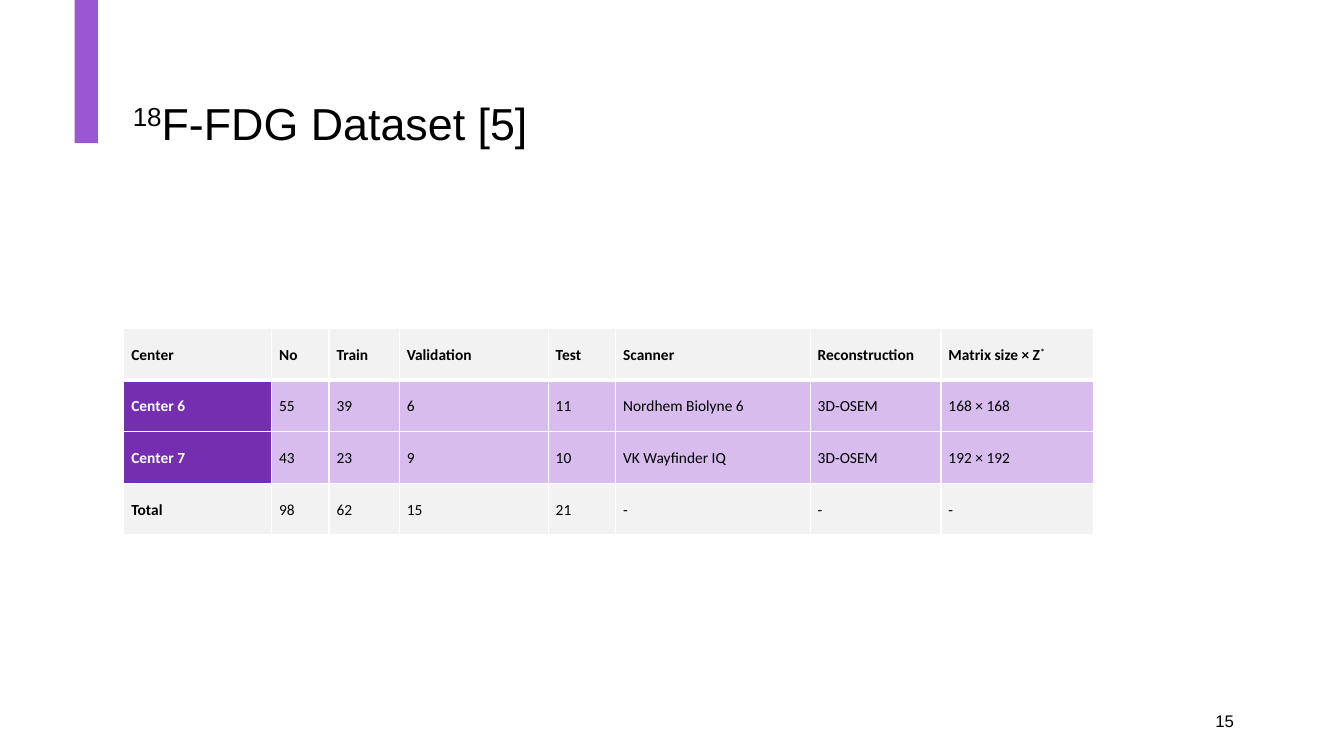
from lxml.etree import SubElement
from pptx import Presentation
from pptx.dml.color import RGBColor
from pptx.enum.shapes import MSO_SHAPE
from pptx.enum.text import MSO_ANCHOR, PP_ALIGN
from pptx.oxml.ns import qn
from pptx.util import Pt

BLACK = RGBColor(0x00, 0x00, 0x00)
WHITE = RGBColor(0xFF, 0xFF, 0xFF)
ACCENT = RGBColor(0x9B, 0x57, 0xD3)
PURPLE = RGBColor(0x76, 0x2E, 0xB1)
LILAC = RGBColor(0xD7, 0xBC, 0xED)
GREY = RGBColor(0xF2, 0xF2, 0xF2)

TITLE = [("18", True), ("F-FDG Dataset [5]", False)]
PAGE_NUMBER = "15"
ROWS = [
    ["Center", "No", "Train", "Validation", "Test", "Scanner", "Reconstruction",
     [("Matrix size × Z", False), ("*", True)]],
    ["Center 6", "55", "39", "6", "11", "Nordhem Biolyne 6", "3D-OSEM", "168 × 168"],
    ["Center 7", "43", "23", "9", "10", "VK Wayfinder IQ", "3D-OSEM", "192 × 192"],
    ["Total", "98", "62", "15", "21", "-", "-", "-"],
]
COLUMN_WIDTHS = [105.6, 41, 50.2, 106.4, 48.2, 139, 93.4, 109.4]
ROW_HEIGHTS = [36.7, 36.7, 37.4, 36.7]
TABLE_LEFT, TABLE_TOP = 88.4, 234.7


def write(frame, text, font="Arial", size=12, color=BLACK, bold=False,
          align=PP_ALIGN.LEFT, line_spacing=1.0, space_after=0):
    para = frame.paragraphs[0]
    para.alignment = align
    para.line_spacing = line_spacing
    para.space_after = Pt(space_after)
    for words, raised in [(text, False)] if isinstance(text, str) else text:
        span = para.add_run()
        span.text = words
        span.font.name = font
        span.font.size = Pt(size)
        span.font.bold = bold
        span.font.color.rgb = color
        if raised:
            span.font._element.set("baseline", "30000")


def add_text(page, left, top, width, height, text, **style):
    box = page.shapes.add_textbox(Pt(left), Pt(top), Pt(width), Pt(height))
    frame = box.text_frame
    frame.word_wrap = True
    frame.vertical_anchor = MSO_ANCHOR.MIDDLE
    write(frame, text, **style)


def add_borders(cell, **widths):
    properties = cell._tc.get_or_add_tcPr()
    for side in "LRTB":
        line = SubElement(properties, qn(f"a:ln{side}"), w=str(Pt(widths.get(side, 1))))
        fill = SubElement(line, qn("a:solidFill"))
        SubElement(fill, qn("a:srgbClr"), val=str(WHITE))


def add_dataset_table(page):
    table = page.shapes.add_table(
        len(ROWS), len(COLUMN_WIDTHS), Pt(TABLE_LEFT), Pt(TABLE_TOP),
        Pt(sum(COLUMN_WIDTHS)), Pt(sum(ROW_HEIGHTS))).table
    for column, width in zip(table.columns, COLUMN_WIDTHS):
        column.width = Pt(width)
    for row, height in zip(table.rows, ROW_HEIGHTS):
        row.height = Pt(height)
    for r, texts in enumerate(ROWS):
        header, center = r == 0, 0 < r < len(ROWS) - 1
        for c, text in enumerate(texts):
            named = center and c == 0
            cell = table.cell(r, c)
            add_borders(cell, B=3 if header else 1, T=3 if r == 1 else 1)
            cell.fill.solid()
            cell.fill.fore_color.rgb = PURPLE if named else LILAC if center else GREY
            cell.vertical_anchor = MSO_ANCHOR.MIDDLE
            cell.margin_left = cell.margin_right = Pt(5.4)
            cell.margin_top = cell.margin_bottom = Pt(0)
            write(cell.text_frame, text, font="Calibri", size=11,
                  color=WHITE if named else BLACK, bold=header or c == 0,
                  line_spacing=1.07, space_after=8)


def main():
    deck = Presentation()
    deck.slide_width, deck.slide_height = Pt(960), Pt(540)
    page = deck.slides.add_slide(deck.slide_layouts[6])

    bar = page.shapes.add_shape(MSO_SHAPE.RECTANGLE, Pt(53.3), Pt(0), Pt(16.6), Pt(102.2))
    bar.shadow.inherit = False
    bar.fill.solid()
    bar.fill.fore_color.rgb = ACCENT
    bar.line.fill.background()

    add_text(page, 87.8, 43.2, 800.6, 92.9, TITLE, size=32, line_spacing=0.9)
    add_dataset_table(page)
    add_text(page, 672.5, 500.4, 216, 28.8, PAGE_NUMBER,
             align=PP_ALIGN.RIGHT, space_after=6)
    deck.save("out.pptx")


if __name__ == "__main__":
    main()
